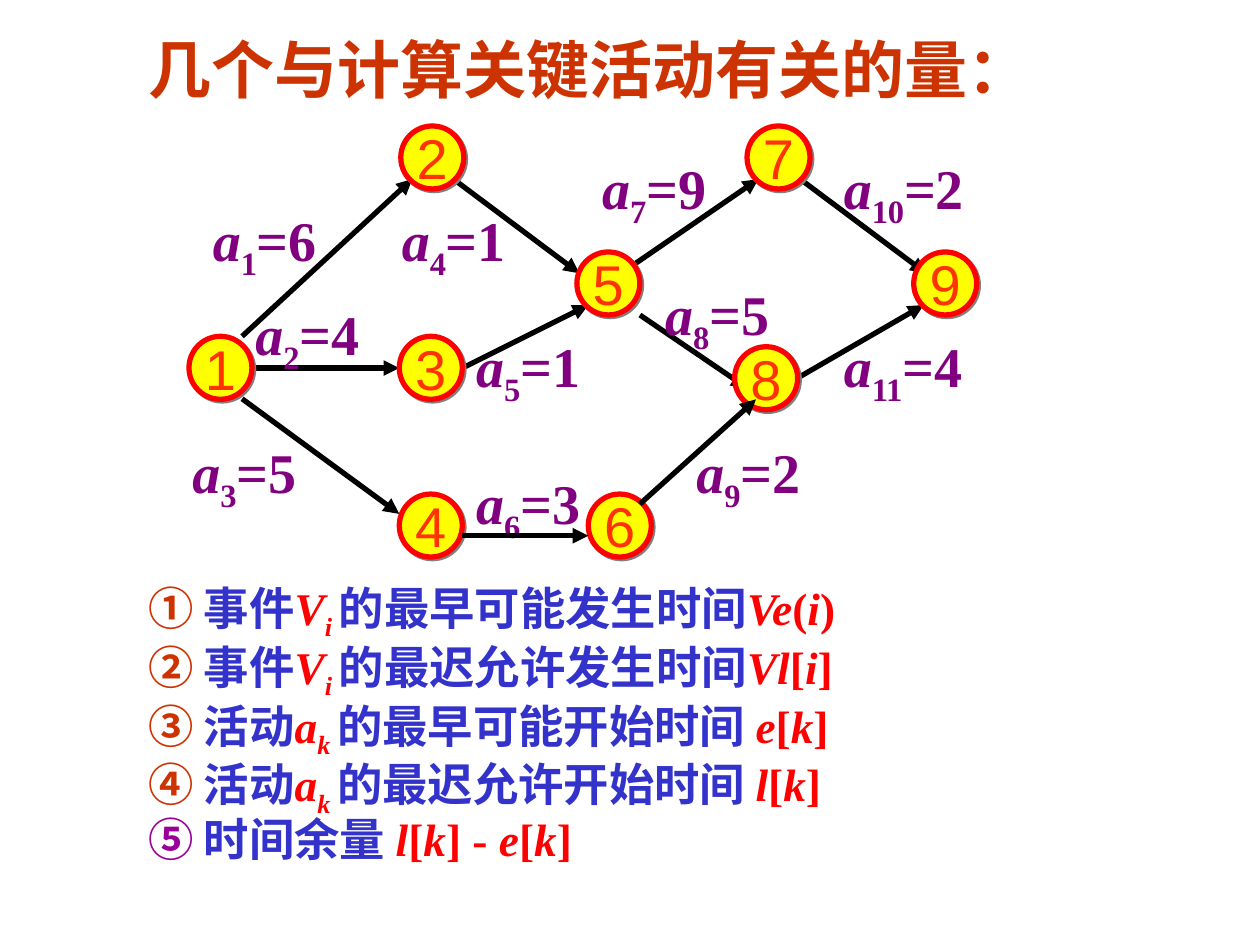
"""Build the slide on the quantities used to find critical activities in an AOE network."""
from dataclasses import dataclass

from lxml import etree
from pptx import Presentation
from pptx.dml.color import RGBColor
from pptx.enum.shapes import MSO_CONNECTOR, MSO_SHAPE
from pptx.enum.text import MSO_ANCHOR, PP_ALIGN
from pptx.oxml.ns import qn
from pptx.util import Cm, Pt

OVAL = MSO_SHAPE.OVAL
STRAIGHT = MSO_CONNECTOR.STRAIGHT
MIDDLE = MSO_ANCHOR.MIDDLE
CENTER = PP_ALIGN.CENTER


@dataclass(frozen=True)
class Theme:
    serif: str = "Times New Roman"
    sans: str = "Arial"
    title_size: float = 36
    graph_size: float = 32
    list_size: float = 25.9
    stroke: float = 3
    heading: str = "CC3300"
    last_marker: str = "990099"
    wording: str = "3333CC"
    formula: str = "FF0000"
    activity: str = "800080"
    arrow: str = "000000"
    event_fill: str = "FFFF00"
    event_line: str = "FF0000"
    event_text: str = "FF3300"
    event_shadow: str = "808080"


theme = Theme()


def write_runs(paragraph, size, runs):
    paragraph.font.name = theme.serif
    paragraph.font.size = Pt(size)
    paragraph.font.bold = True
    for text, color, style in runs:
        run = paragraph.add_run()
        run.text = text
        run.font.color.rgb = RGBColor.from_string(color)
        run.font.italic = "i" in style
        if "_" in style:
            run._r.get_or_add_rPr().set("baseline", "-25000")


def draw_arrow(shapes, start, end):
    arrow = shapes.add_connector(STRAIGHT, *(Cm(v) for v in start + end))
    arrow.line.color.rgb = RGBColor.from_string(theme.arrow)
    arrow.line.width = Pt(theme.stroke)
    etree.SubElement(arrow.line._get_or_add_ln(), qn("a:tailEnd"), type="triangle")
    etree.SubElement(arrow._element.spPr, qn("a:effectLst"))


prs = Presentation()
prs.slide_width, prs.slide_height = Cm(25.4), Cm(19.05)
slide = prs.slides.add_slide(prs.slide_layouts[6])
shapes = slide.shapes

title = shapes.add_textbox(Cm(2.74), Cm(0.64), Cm(20.32), Cm(1.47)).text_frame
title.word_wrap = True
title.vertical_anchor = MIDDLE
write_runs(title.paragraphs[0], theme.title_size,
           [("几个与计算关键活动有关的量：", theme.heading, "")])

quantities = [
    ("①", "事件", "V", "i", "的最早可能发生时间", [("Ve", "i"), ("(", ""), ("i", "i"), (")", "")]),
    ("②", "事件", "V", "i", "的最迟允许发生时间", [("Vl", "i"), ("[", ""), ("i", "i"), ("]", "")]),
    ("③", "活动", "a", "k", "的最早可能开始时间 ", [("e", "i"), ("[", ""), ("k", "i"), ("]", "")]),
    ("④", "活动", "a", "k", "的最迟允许开始时间 ", [("l", "i"), ("[", ""), ("k", "i"), ("]", "")]),
    ("⑤", "时间余量 ", "", "", "", [("l", "i"), ("[", ""), ("k", "i"), ("] - ", ""),
                                  ("e", "i"), ("[", ""), ("k", "i"), ("]", "")]),
]
definitions = shapes.add_textbox(Cm(2.74), Cm(11.57), Cm(19.48), Cm(6.55)).text_frame
definitions.word_wrap = True
for row, (marker, subject, symbol, index, meaning, formula) in enumerate(quantities):
    paragraph = definitions.add_paragraph() if row else definitions.paragraphs[0]
    paragraph.line_spacing = 0.95
    indent = Cm(0.97)
    paragraph._p.get_or_add_pPr().set("marL", str(indent))
    paragraph._p.get_or_add_pPr().set("indent", str(-indent))
    runs = [(marker + " ", theme.heading if symbol else theme.last_marker, ""),
            (subject, theme.wording, "")]
    if symbol:
        runs += [(symbol, theme.formula, "i"), (index + " ", theme.formula, "i_"),
                 (meaning, theme.wording, "")]
    runs += [(text, theme.formula, style) for text, style in formula]
    write_runs(paragraph, theme.list_size, runs)

activities = {
    1: (6, (4.04, 4.01), (4.88, 6.78), (8.31, 3.61)),
    2: (4, (4.9, 5.92), (5.08, 7.42), (8.05, 7.42)),
    3: (5, (3.63, 8.69), (4.88, 8.04), (8.05, 10.36)),
    4: (1, (7.85, 4.01), (9.14, 3.61), (11.68, 5.51)),
    5: (1, (9.35, 6.55), (9.32, 7.42), (11.86, 6.15)),
    6: (3, (9.35, 9.32), (9.32, 10.8), (11.86, 10.8)),
    7: (9, (11.89, 2.97), (12.52, 5.51), (15.29, 3.61)),
    8: (5, (13.16, 5.51), (12.9, 6.35), (15.06, 7.82)),
    9: (2, (13.79, 8.69), (12.9, 10.16), (15.24, 8.05)),
    10: (2, (16.76, 2.97), (16.13, 3.61), (18.67, 5.51)),
    11: (4, (16.76, 6.55), (16.08, 7.62), (18.62, 6.15)),
}
front_activities = (6, 9)
for number, (duration, place, start, end) in activities.items():
    if number not in front_activities:
        draw_arrow(shapes, start, end)

event_places = [(3.81, 6.78), (8.08, 2.54), (8.05, 6.78), (8.05, 9.96), (11.63, 5.08),
                (11.86, 9.96), (15.06, 2.54), (14.81, 6.99), (18.42, 5.08)]
for number, (left, top) in enumerate(event_places, start=1):
    event = shapes.add_shape(OVAL, Cm(left), Cm(top), Cm(1.27), Cm(1.27))
    event.fill.solid()
    event.fill.fore_color.rgb = RGBColor.from_string(theme.event_fill)
    event.line.color.rgb = RGBColor.from_string(theme.event_line)
    event.line.width = Pt(theme.stroke)
    event.shadow.inherit = False
    effects = event._element.spPr.find(qn("a:effectLst"))
    shadow = etree.SubElement(effects, qn("a:outerShdw"), dist=str(Pt(1.4)), dir="2700000")
    etree.SubElement(shadow, qn("a:srgbClr"), val=theme.event_shadow)
    event.text_frame.word_wrap = False
    event.text_frame.vertical_anchor = MIDDLE
    paragraph = event.text_frame.paragraphs[0]
    paragraph.text = str(number)
    paragraph.alignment = CENTER
    paragraph.font.name = theme.sans
    paragraph.font.size = Pt(theme.graph_size)
    paragraph.font.color.rgb = RGBColor.from_string(theme.event_text)

for number, (duration, (left, top), start, end) in activities.items():
    width = 2.85 if number < 10 else 3.2
    label = shapes.add_textbox(Cm(left), Cm(top), Cm(width), Cm(1.8)).text_frame
    label.word_wrap = True
    write_runs(label.paragraphs[0], theme.graph_size, [
        ("a", theme.activity, "i"), (str(number), theme.activity, "_"),
        (f"={duration}", theme.activity, "")])

for number in front_activities:
    draw_arrow(shapes, *activities[number][2:])

prs.save("out.pptx")
